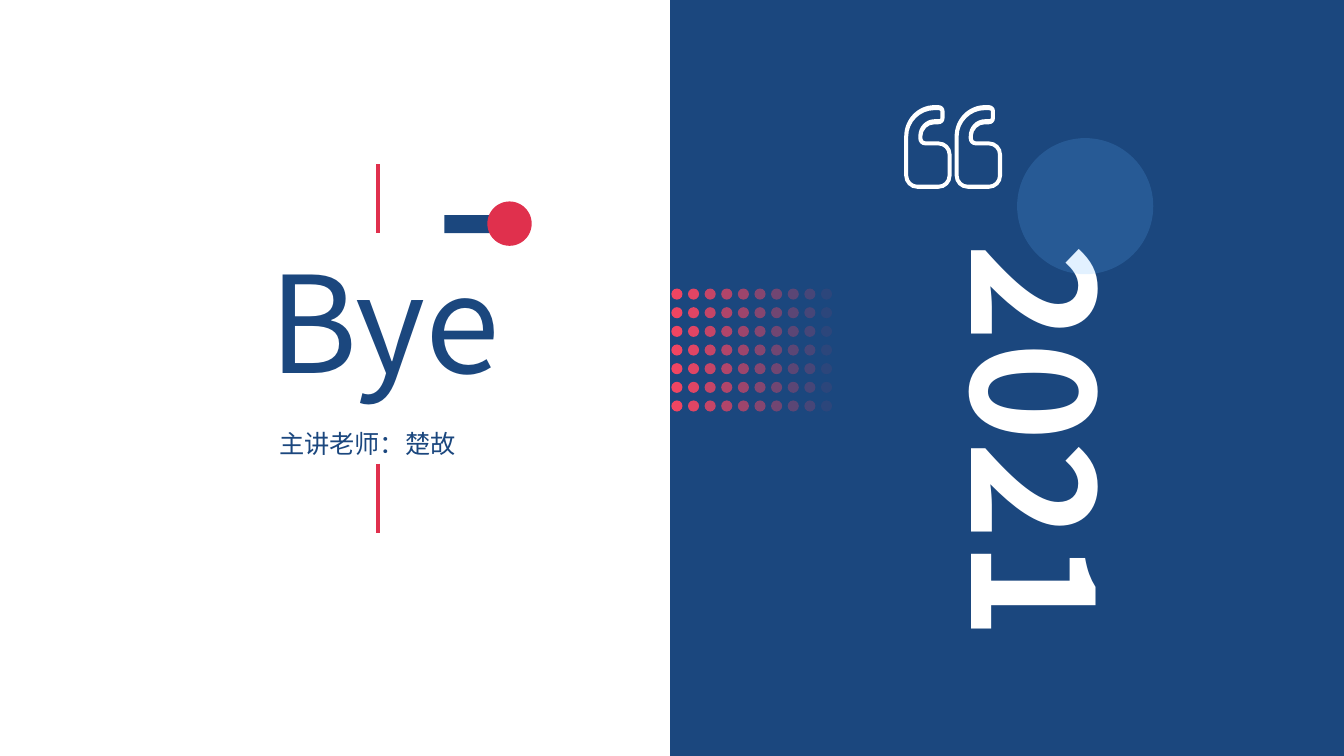
from lxml.etree import SubElement
from pptx import Presentation
from pptx.dml.color import RGBColor
from pptx.enum.shapes import MSO_CONNECTOR, MSO_SHAPE
from pptx.enum.text import MSO_AUTO_SIZE, PP_ALIGN
from pptx.oxml.ns import qn
from pptx.util import Inches, Pt

NAVY = RGBColor(0x1B, 0x47, 0x7E)
RED = RGBColor(0xE0, 0x30, 0x4D)
CORAL = RGBColor(0xF9, 0x45, 0x61)
SKY = RGBColor(0x60, 0xB4, 0xFF)
WHITE = RGBColor(0xFF, 0xFF, 0xFF)
FONT = "Noto Sans CJK SC"

YEAR = ("2021", (68.48, 30.87, 16.65, 59.6), 120, WHITE, PP_ALIGN.JUSTIFY)
FAREWELL = ("Bye", (7.28, 30.93, 42.68, 22.93), 96, NAVY, PP_ALIGN.CENTER)
SPEAKER = ("主讲老师：楚故", (0.18, 56, 54.3, 5.33), 18, NAVY, PP_ALIGN.CENTER)

PANEL = (49.86, 0, 50.18, 100.8)
HALO = (75.68, 18.27, 10.13, 18)
BAR = (33.06, 28.45, 4.73, 2.4)
KNOB = (36.26, 26.65, 3.3, 5.87)

RULE_X = 28.13
RULES = [(21.73, 30.8), (61.33, 70.53)]

DOT_FIRST = (49.95, 38.17)
DOT_LAST = (61.08, 52.97)
DOT_SIZE = (0.83, 1.47)
DOT_ROWS = 7
DOT_OPACITIES = [96, 89, 77, 68, 59, 48, 39, 29, 20, 8]

QUOTE_ORIGIN = (67.28, 13.91)
QUOTE_UNITS = 750
QUOTE_PITCH = 50
QUOTE_OUTER = [(34, 83), (13, 83), (0, 70), (0, 31), (30, 0), (34, 0), (40, 6), (40, 13),
               (34, 19), (30, 19), (18, 31), (18, 33), (21, 36), (34, 36), (47, 49), (47, 70)]
QUOTE_INNER = [(34, 79), (13, 79), (4, 70), (4, 31), (30, 5), (34, 5), (36, 6), (36, 13),
               (34, 14), (30, 14), (14, 31), (14, 33), (21, 40), (34, 40), (43, 49), (43, 70)]
CURVE_PULL = 0.55

deck = Presentation()
deck.slide_width, deck.slide_height = Inches(13.33), Inches(7.5)
slide = deck.slides.add_slide(deck.slide_layouts[6])


def across(percent):
    return round(deck.slide_width * percent / 100)


def down(percent):
    return round(deck.slide_height * percent / 100)


def place(box):
    left, top, width, height = box
    return across(left), down(top), across(width), down(height)


def paint(shape, color, opacity=100):
    shape.shadow.inherit = False
    shape.fill.solid()
    shape.fill.fore_color.rgb = color
    shape.line.fill.background()
    if opacity < 100:
        swatch = shape.fill._xPr.find(qn("a:solidFill"))[0]
        SubElement(swatch, qn("a:alpha")).set("val", str(opacity * 1000))


def add_block(kind, box, color, opacity=100):
    paint(slide.shapes.add_shape(kind, *place(box)), color, opacity)


def add_words(words, box, size, color, align, bold=False, vertical=False):
    frame = slide.shapes.add_textbox(*place(box)).text_frame
    frame.word_wrap = True
    frame.auto_size = MSO_AUTO_SIZE.SHAPE_TO_FIT_TEXT
    if vertical:
        frame._txBody.bodyPr.set("vert", "eaVert")
    frame.text = words
    paragraph = frame.paragraphs[0]
    paragraph.alignment = align
    run = paragraph.runs[0]
    run.font.size, run.font.bold, run.font.name = Pt(size), bold, FONT
    run.font.color.rgb = color
    SubElement(run.font._element, qn("a:ea")).set("typeface", FONT)


def add_rule(top, bottom):
    rule = slide.shapes.add_connector(MSO_CONNECTOR.STRAIGHT, across(RULE_X), down(top),
                                      across(RULE_X), down(bottom))
    rule.line.color.rgb = RED
    rule.line.width = Pt(2.75)
    SubElement(rule._element.spPr, qn("a:effectLst"))


def position(segment):
    point = segment.find(qn("a:pt"))
    return int(point.get("x")), int(point.get("y"))


def bend(segment, start, corner):
    end = position(segment)
    segment.tag = qn("a:cubicBezTo")
    for slot, anchor in enumerate((start, end)):
        pull = [round(a + (c - a) * CURVE_PULL) for a, c in zip(anchor, corner)]
        handle = SubElement(segment, qn("a:pt"))
        handle.set("x", str(pull[0]))
        handle.set("y", str(pull[1]))
        segment.insert(slot, handle)


def round_corners(mark):
    start, side = (0, 0), 0
    for segment in mark._element.iter(qn("a:moveTo"), qn("a:lnTo")):
        end = position(segment)
        if segment.tag == qn("a:moveTo"):
            side = 0
        else:
            if side % 2:
                bend(segment, start, (end[0], start[1]) if side % 4 == 1 else (start[0], end[1]))
            side += 1
        start = end


def add_quote():
    unit = deck.slide_height / QUOTE_UNITS
    left, top = across(QUOTE_ORIGIN[0]), down(QUOTE_ORIGIN[1])
    contours = [[(round(left + (x + mark * QUOTE_PITCH) * unit), round(top + y * unit))
                 for x, y in corners]
                for mark in range(2) for corners in (QUOTE_OUTER, QUOTE_INNER)]
    builder = slide.shapes.build_freeform(*contours[0][0])
    for number, contour in enumerate(contours):
        if number:
            builder.move_to(*contour[0])
        builder.add_line_segments([*contour[1:], contour[0]], close=True)
    quote = builder.convert_to_shape()
    round_corners(quote)
    paint(quote, WHITE)


add_block(MSO_SHAPE.RECTANGLE, PANEL, NAVY)
add_words(*YEAR, bold=True, vertical=True)
add_block(MSO_SHAPE.OVAL, HALO, SKY, 18)
add_quote()
for top, bottom in RULES:
    add_rule(top, bottom)
add_words(*FAREWELL)
column_pitch = (DOT_LAST[0] - DOT_FIRST[0]) / (len(DOT_OPACITIES) - 1)
row_pitch = (DOT_LAST[1] - DOT_FIRST[1]) / (DOT_ROWS - 1)
for column, opacity in enumerate(DOT_OPACITIES):
    for row in range(DOT_ROWS):
        dot_left = DOT_FIRST[0] + column * column_pitch
        dot_top = DOT_FIRST[1] + row * row_pitch
        add_block(MSO_SHAPE.OVAL, (dot_left, dot_top, *DOT_SIZE), CORAL, opacity)
add_block(MSO_SHAPE.RECTANGLE, BAR, NAVY)
add_block(MSO_SHAPE.OVAL, KNOB, RED)
add_words(*SPEAKER)

deck.save("out.pptx")
